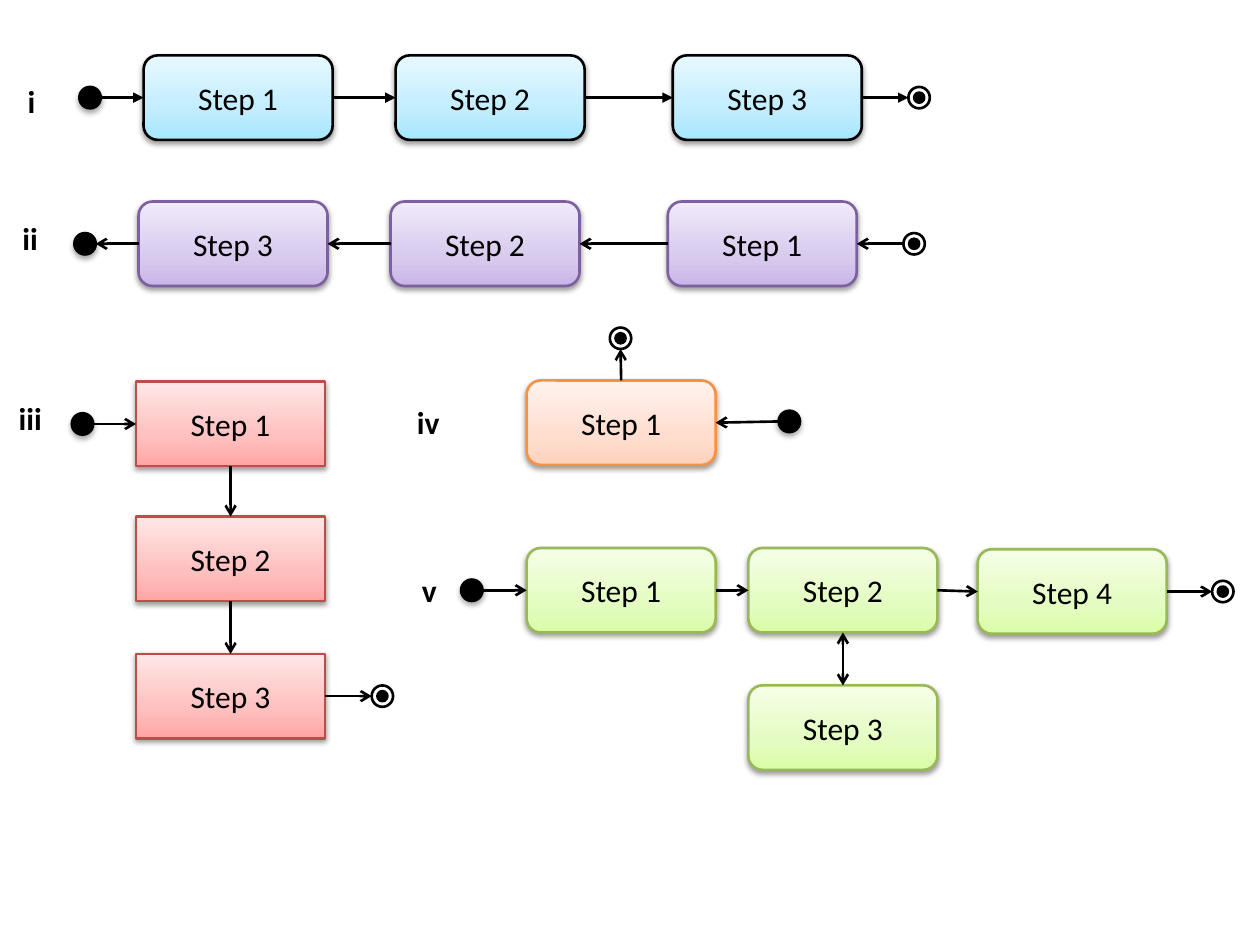
from dataclasses import dataclass

from lxml.etree import SubElement
from pptx import Presentation
from pptx.dml.color import RGBColor as RGB
from pptx.enum.shapes import MSO_CONNECTOR as Connector, MSO_SHAPE as Shape
from pptx.enum.text import MSO_ANCHOR as Anchor, MSO_AUTO_SIZE as AutoSize, PP_ALIGN as Align
from pptx.oxml.ns import qn
from pptx.util import Inches, Pt

TOP, LEFT, BOTTOM, RIGHT = range(4)


@dataclass(frozen=True)
class Theme:
    font: str = "Calibri"
    text_size: int = 18
    line_width: float = 1.5
    ink: str = "000000"
    paper: str = "FFFFFF"
    # Outline, then gradient colours from bottom to top
    blue: tuple = ("000000", "A7E6FF", "C1EDFF", "E7F8FF")
    purple: tuple = ("7D60A0", "C9B5E8", "D8CBEE", "F0EAF9")
    red: tuple = ("BF4C48", "FFA6A5", "FFC0BF", "FFE7E7")
    orange: tuple = ("F69240", "FFD2BD", "FFDED0", "FFF2ED")
    green: tuple = ("98B955", "DAFDA7", "E4FCC2", "F5FFE7")
    stops: tuple = (0, 35, 100)


def write(frame, text, theme, bold=False, align=Align.LEFT):
    paragraph = frame.paragraphs[0]
    paragraph.alignment = align
    run = paragraph.add_run()
    run.text = text
    run.font.name = theme.font
    run.font.size = Pt(theme.text_size)
    run.font.bold = bold
    run.font.color.rgb = RGB.from_string(theme.ink)


class FlowSlide:
    STEP_W, STEP_H, MARK, CORE = 1.5, 0.67, 0.17, 0.08

    def __init__(self, slide, theme):
        self.slide, self.theme = slide, theme

    def outline(self, item, color):
        item.line.color.rgb = RGB.from_string(color)
        item.line.width = Pt(self.theme.line_width)

    def shade(self, item, alpha, distance):
        item.shadow.inherit = False
        effects = item._element.spPr.find(qn("a:effectLst"))
        shadow = SubElement(effects, qn("a:outerShdw"), blurRad=str(Pt(3.1)),
                            dist=str(Pt(distance)), dir="5400000", rotWithShape="0")
        black = SubElement(shadow, qn("a:srgbClr"), val=self.theme.ink)
        SubElement(black, qn("a:alpha"), val=str(alpha * 1000))

    def step(self, text, left, top, palette, kind=Shape.ROUNDED_RECTANGLE):
        box = self.slide.shapes.add_shape(kind, Inches(left), Inches(top),
                                          Inches(self.STEP_W), Inches(self.STEP_H))
        border, *colors = palette
        box.fill.gradient()
        box.fill.gradient_angle = 90
        stop_list = box._element.spPr.find(qn("a:gradFill")).find(qn("a:gsLst"))
        for old in list(stop_list):
            stop_list.remove(old)
        for position, color in zip(self.theme.stops, colors):
            stop = SubElement(stop_list, qn("a:gs"), pos=str(position * 1000))
            SubElement(stop, qn("a:srgbClr"), val=color)
        self.outline(box, border)
        self.shade(box, 38, 1.6)
        box.text_frame.vertical_anchor = Anchor.MIDDLE
        write(box.text_frame, text, self.theme, align=Align.CENTER)
        return box

    def circle(self, shapes, left, top, size, color):
        disc = shapes.add_shape(Shape.OVAL, Inches(left), Inches(top),
                                Inches(size), Inches(size))
        disc.fill.solid()
        disc.fill.fore_color.rgb = RGB.from_string(color)
        self.outline(disc, self.theme.ink)
        disc.shadow.inherit = False
        return disc

    def dot(self, left, top):
        disc = self.circle(self.slide.shapes, left, top, self.MARK, self.theme.ink)
        self.shade(disc, 35, 1.8)
        return disc

    def ring(self, left, top):
        group = self.slide.shapes.add_group_shape()
        inset = (self.MARK - self.CORE) / 2
        rim = self.circle(group.shapes, left, top, self.MARK, self.theme.paper)
        self.circle(group.shapes, left + inset, top + inset, self.CORE, self.theme.ink)
        return rim

    def label(self, text, left, top):
        box = self.slide.shapes.add_textbox(Inches(left), Inches(top), Inches(0.51), Inches(0.4))
        box.text_frame.word_wrap = True
        box.text_frame.auto_size = AutoSize.SHAPE_TO_FIT_TEXT
        write(box.text_frame, text, self.theme, bold=True)

    @staticmethod
    def side_middle(item, side):
        x = item.left + {LEFT: 0, RIGHT: item.width}.get(side, item.width // 2)
        y = item.top + {TOP: 0, BOTTOM: item.height}.get(side, item.height // 2)
        return x, y

    def arrow(self, source, source_side, target, target_side, head=None, tail="arrow"):
        link = self.slide.shapes.add_connector(
            Connector.STRAIGHT, *self.side_middle(source, source_side),
            *self.side_middle(target, target_side))
        if source.auto_shape_type != Shape.OVAL:
            link.begin_connect(source, source_side)
        if target.auto_shape_type != Shape.OVAL:
            link.end_connect(target, target_side)
        self.outline(link, self.theme.ink)
        line = link.line._get_or_add_ln()
        for tag, kind in (("a:headEnd", head), ("a:tailEnd", tail)):
            if kind:
                SubElement(line, qn(tag), type=kind)
        SubElement(link._element.spPr, qn("a:effectLst"))

    def chain(self, items, **ends):
        for source, target in zip(items, items[1:]):
            self.arrow(source, RIGHT, target, LEFT, **ends)


def main():
    deck = Presentation()
    deck.slide_width, deck.slide_height = Inches(10), Inches(7.5)
    theme = Theme()
    flow = FlowSlide(deck.slides.add_slide(deck.slide_layouts[6]), theme)

    # Flows i and ii: the same row, read forwards and backwards
    rows = (
        ("i", (0.12, 0.6), 1.14, 0.44, (1, 2, 3), theme.blue, {"tail": "triangle"}),
        ("ii", (0.08, 1.69), 1.1, 1.6, (3, 2, 1), theme.purple, {"head": "arrow", "tail": None}),
    )
    for numeral, label_at, left, top, numbers, palette, ends in rows:
        steps = [flow.step(f"Step {number}", left + offset, top, palette)
                 for number, offset in zip(numbers, (0, 2, 4.2))]
        first = flow.dot(left - 0.51, top + 0.25)
        last = flow.ring(left + 6.07, top + 0.25)
        flow.chain([first, *steps, last], **ends)
        flow.label(numeral, *label_at)

    # Flow iii: a column of square steps
    column = [flow.step(f"Step {number}", 1.08, top, theme.red, Shape.RECTANGLE)
              for number, top in enumerate((3.03, 4.1, 5.19), 1)]
    flow.chain([flow.dot(0.57, 3.28), column[0]])
    for upper, lower in zip(column, column[1:]):
        flow.arrow(upper, BOTTOM, lower, TOP)
    flow.chain([column[-1], flow.ring(2.95, 5.44)])
    flow.label("iii", 0.05, 3.12)

    # Flow iv: a single step, entered from the right and left at the top
    single = flow.step("Step 1", 4.18, 3.02, theme.orange)
    flow.arrow(single, TOP, flow.ring(4.84, 2.6), BOTTOM)
    flow.chain([single, flow.dot(6.18, 3.26)], head="arrow", tail=None)
    flow.label("iv", 3.21, 3.15)

    # Flow v: a row with a side step below the second one
    step_1, step_2, step_4 = [
        flow.step(f"Step {number}", left, top, theme.green)
        for number, left, top in ((1, 4.18, 4.35), (2, 5.94, 4.35), (4, 7.76, 4.36))]
    flow.chain([flow.dot(3.66, 4.6), step_1, step_2, step_4, flow.ring(9.62, 4.61)])
    step_3 = flow.step("Step 3", 5.94, 5.44, theme.green)
    flow.arrow(step_3, TOP, step_2, BOTTOM, head="arrow")
    flow.label("v", 3.25, 4.48)

    deck.save("out.pptx")


if __name__ == "__main__":
    main()
